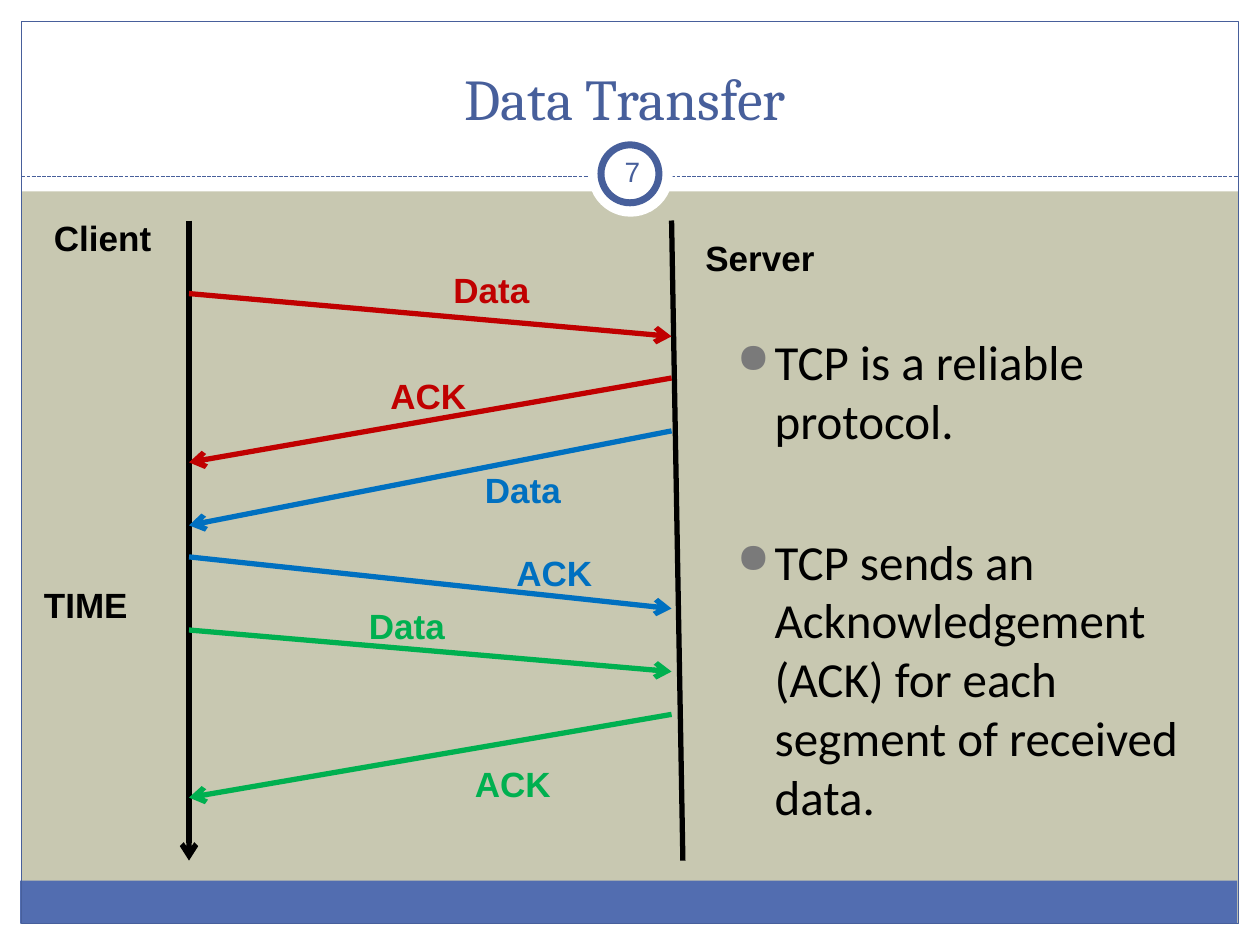
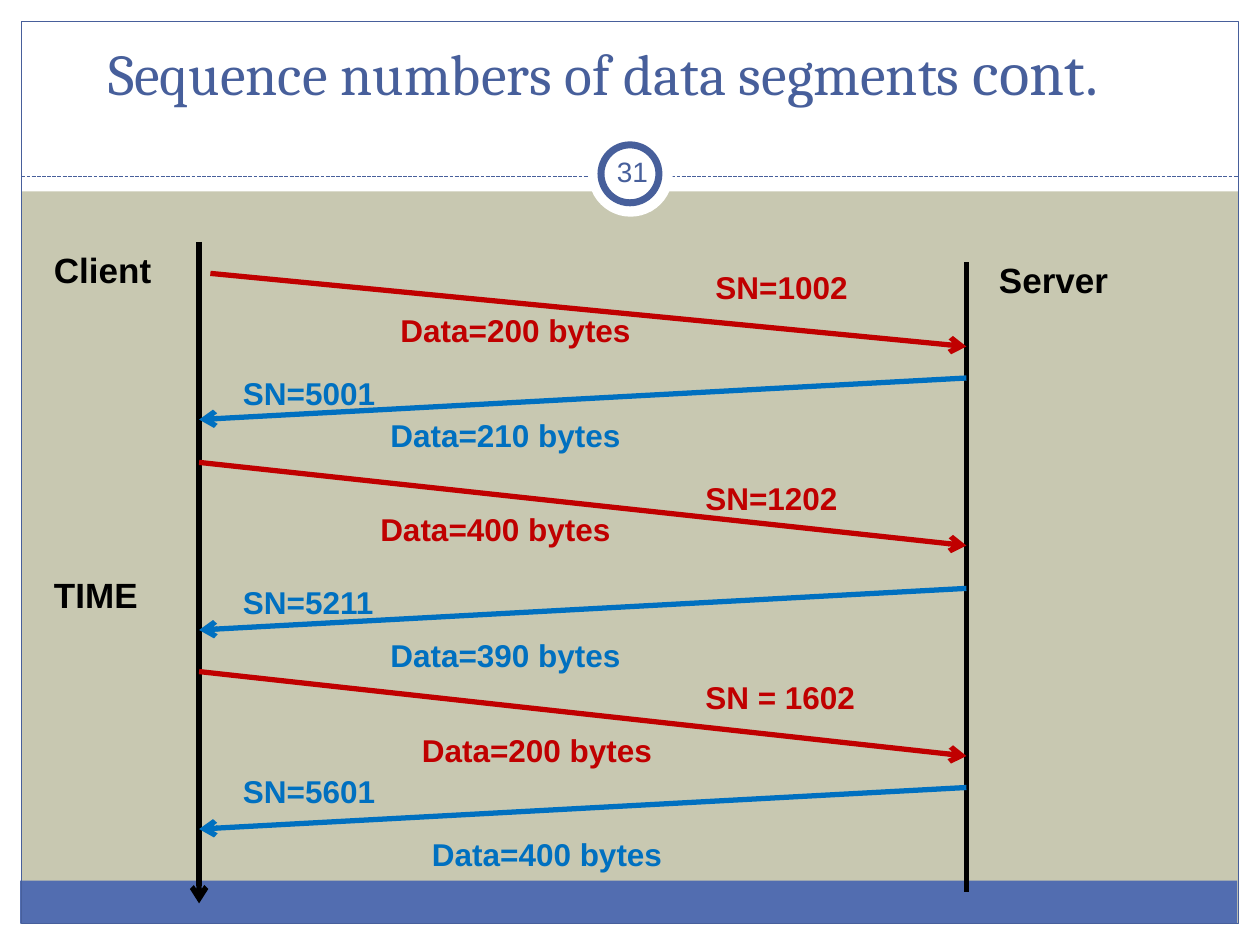
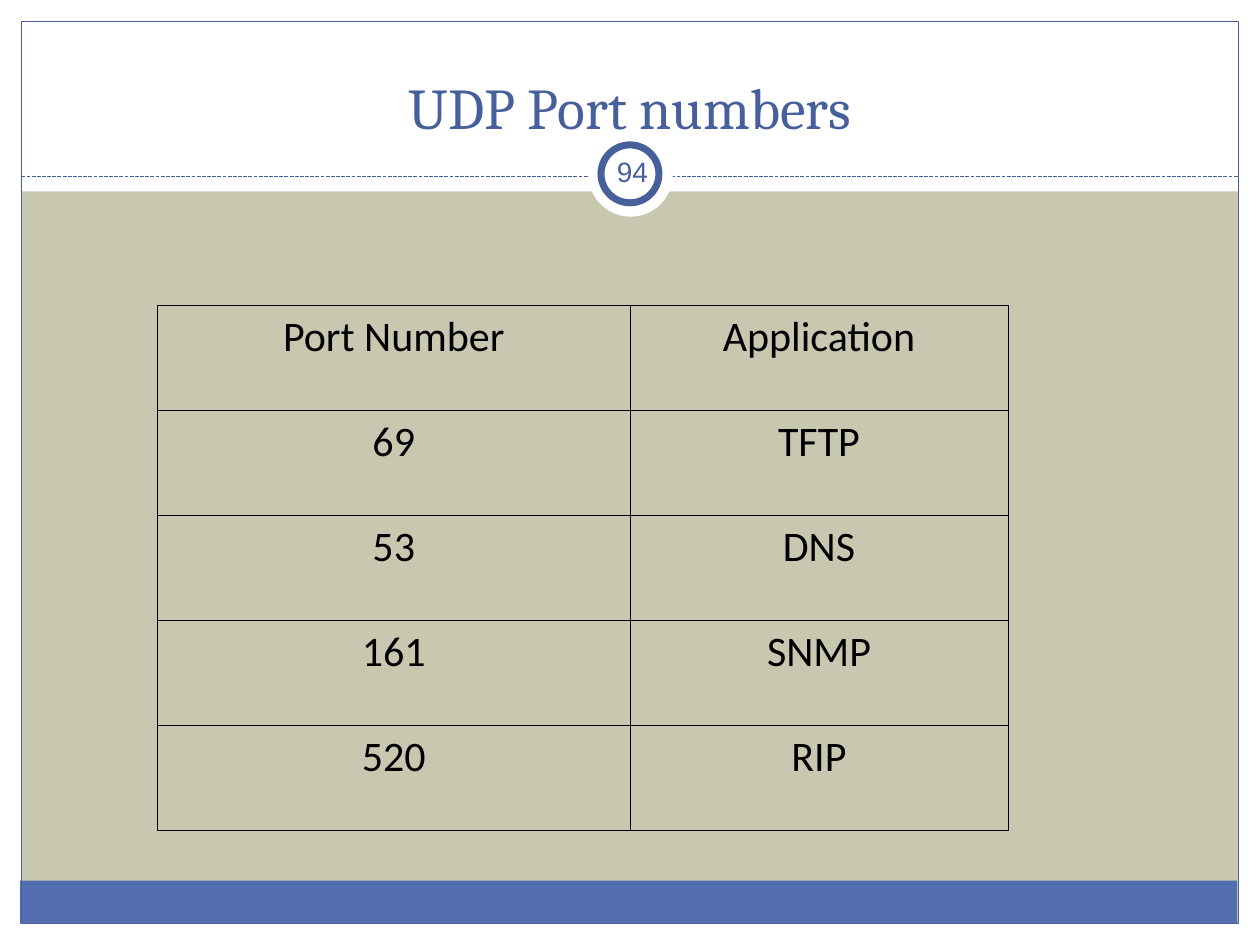
from collections import namedtuple

from pptx import Presentation
from pptx.dml.color import RGBColor
from pptx.enum.dml import MSO_LINE
from pptx.enum.shapes import MSO_CONNECTOR, MSO_SHAPE
from pptx.enum.text import MSO_ANCHOR as Anchor, MSO_AUTO_SIZE as AutoSize, PP_ALIGN as Align
from pptx.oxml.ns import qn
from pptx.util import Inches, Pt
from lxml.etree import SubElement

SAND = RGBColor(0xC8, 0xC8, 0xB1)
WHITE = RGBColor(0xFF, 0xFF, 0xFF)
BLACK = RGBColor(0, 0, 0)
BAND_BLUE = RGBColor(0x52, 0x6D, 0xB0)
TITLE_BLUE = RGBColor(0x47, 0x5F, 0x9B)
RED = RGBColor(0xC0, 0, 0)
BLUE = RGBColor(0, 0x70, 0xC0)
GREEN = RGBColor(0, 0xB0, 0x50)
BULLET_GRAY = "7A7A7A"

WIDTH, HEIGHT, MARGIN = 10, 7.5, 0.17

Box = namedtuple("Box", "left top width height")
Label = namedtuple("Label", "text x y width")
Message = namedtuple("Message", "start end color to_server labels inset", defaults=[0])


def inches(*values):
    return [Inches(value) for value in values]


def add_run(paragraph, text, size, font="Arial", color=BLACK, bold=False):
    run = paragraph.add_run()
    run.text = text
    run.font.size = Pt(size)
    run.font.name = font
    run.font.bold = bold
    run.font.color.rgb = color


def add_text(slide, box, text, size, align=Align.LEFT, anchor=Anchor.TOP,
             margin=None, grow=False, **font):
    """Add a one-paragraph text box and return its paragraph."""
    frame = slide.shapes.add_textbox(*inches(*box)).text_frame
    frame.word_wrap = True
    frame.vertical_anchor = anchor
    if grow:
        frame.auto_size = AutoSize.SHAPE_TO_FIT_TEXT
    if margin is not None:
        frame.margin_left = frame.margin_right = Inches(margin)
    paragraph = frame.paragraphs[0]
    paragraph.alignment = align
    add_run(paragraph, text, size, **font)
    return paragraph


def add_preset(slide, preset, box, fill=None, line=None, line_width=0.75):
    shape = slide.shapes.add_shape(preset, *inches(*box))
    shape.shadow.inherit = False
    if fill is None:
        shape.fill.background()
    else:
        shape.fill.solid()
        shape.fill.fore_color.rgb = fill
    if line is None:
        shape.line.fill.background()
    else:
        shape.line.color.rgb = line
        shape.line.width = Pt(line_width)


def add_line(slide, start, end, color=BLACK, width=3, arrow=False, dash=None):
    line = slide.shapes.add_connector(MSO_CONNECTOR.STRAIGHT, *inches(*start, *end))
    line.line.color.rgb = color
    line.line.width = Pt(width)
    if dash is not None:
        line.line.dash_style = dash
    properties = line._element.spPr
    if arrow:
        SubElement(properties.find(qn("a:ln")), qn("a:tailEnd"), type="arrow")
    SubElement(properties, qn("a:effectLst"))


def add_frame(slide):
    """Draw the margins, bottom band, border, dashed rule and number badge."""
    slide.background.fill.solid()
    slide.background.fill.fore_color.rgb = SAND
    inner_width, inner_height = WIDTH - 2 * MARGIN, HEIGHT - 2 * MARGIN
    for margin in (Box(0, HEIGHT - MARGIN, WIDTH, MARGIN), Box(0, 0, WIDTH, 1.52),
                   Box(0, 0, MARGIN, HEIGHT), Box(WIDTH - MARGIN, 0, MARGIN, HEIGHT)):
        add_preset(slide, MSO_SHAPE.RECTANGLE, margin, fill=WHITE)
    add_preset(slide, MSO_SHAPE.RECTANGLE, Box(0.16, 6.99, inner_width, 0.34), fill=BAND_BLUE)
    add_preset(slide, MSO_SHAPE.RECTANGLE, Box(MARGIN, MARGIN, inner_width, inner_height),
               line=TITLE_BLUE)
    add_line(slide, (MARGIN, 1.4), (WIDTH - MARGIN, 1.4), TITLE_BLUE, 0.75,
             dash=MSO_LINE.SQUARE_DOT)
    add_preset(slide, MSO_SHAPE.OVAL, Box(4.67, 1.05, 0.67, 0.67), fill=WHITE)
    add_preset(slide, MSO_SHAPE.OVAL, Box(4.77, 1.15, 0.46, 0.46), WHITE, TITLE_BLUE, 4)


def start_slide(presentation, number, title, title_box):
    """Add a framed slide; return it with its title paragraph."""
    slide = presentation.slides.add_slide(presentation.slide_layouts[6])
    add_frame(slide)
    heading = add_text(slide, title_box, title, 33, Align.CENTER, Anchor.BOTTOM,
                       font="Cambria", color=TITLE_BLUE)
    add_text(slide, Box(4.77, 1.12, 0.5, 0.48), str(number), 16, Align.CENTER,
             Anchor.MIDDLE, margin=0.05, color=TITLE_BLUE)
    return slide, heading


def add_sequence(slide, box, messages, names, label_size, server_span, server_lean=0):
    """Draw two time lines and the messages between them, placed within box."""
    def at(x, y):
        return box.left + x, box.top + y

    def add_label(label, size, color):
        add_text(slide, Box(*at(label.x, label.y), label.width, size * 0.022),
                 label.text, size, grow=True, color=color, bold=True)

    server_top, server_bottom = server_span
    add_line(slide, at(0, 0), at(0, box.height), arrow=True)
    add_line(slide, at(box.width, server_top), at(box.width + server_lean, server_bottom))
    for message in messages:
        start_x, end_x = (message.inset, box.width) if message.to_server else (box.width, 0)
        add_line(slide, at(start_x, message.start), at(end_x, message.end),
                 message.color, arrow=True)
        for label in message.labels:
            add_label(label, label_size, message.color)
    for name in names:
        add_label(name, 20, BLACK)


def add_bullets(slide, box, items, size, gap):
    frame = slide.shapes.add_textbox(*inches(*box)).text_frame
    frame.word_wrap = True
    for index, item in enumerate(items):
        paragraph = frame.add_paragraph() if index else frame.paragraphs[0]
        if index:
            paragraph.space_before = Pt(gap)
        properties = paragraph._p.get_or_add_pPr()
        properties.set("marL", str(Inches(0.3)))
        properties.set("indent", str(-Inches(0.3)))
        color = SubElement(properties, qn("a:buClr"))
        SubElement(color, qn("a:srgbClr"), val=BULLET_GRAY)
        SubElement(properties, qn("a:buSzPct"), val="85000")
        SubElement(properties, qn("a:buChar"), char="●")
        add_run(paragraph, item, size, font="Calibri")


def add_cell_borders(cell, color, width):
    properties = cell._tc.get_or_add_tcPr()
    for index, side in enumerate(("a:lnL", "a:lnR", "a:lnT", "a:lnB")):
        border = properties.makeelement(qn(side), {"w": str(Pt(width))})
        fill = SubElement(border, qn("a:solidFill"))
        SubElement(fill, qn("a:srgbClr"), val=str(color))
        properties.insert(index, border)


def add_grid(slide, box, column_widths, rows):
    table = slide.shapes.add_table(len(rows), len(column_widths), *inches(*box)).table
    table.first_row = table.horz_banding = False
    for column, width in zip(table.columns, column_widths):
        column.width = Inches(width)
    for row, values in zip(table.rows, rows):
        row.height = Inches(box.height / len(rows))
        for cell, value in zip(row.cells, values):
            cell.fill.background()
            cell.margin_left = cell.margin_right = Inches(0.08)
            paragraph = cell.text_frame.paragraphs[0]
            paragraph.alignment = Align.CENTER
            add_run(paragraph, value, 24, font="Calibri")
            add_cell_borders(cell, BLACK, 0.45)


def build_data_transfer(presentation):
    slide, _ = start_slide(presentation, 7, "Data Transfer", Box(0.67, 0.25, 8.58, 0.85))

    def message(start, end, color, to_server, text, x, y):
        return Message(start, end, color, to_server, [Label(text, x, y, 0.83)])

    messages = [
        message(0.58, 0.92, RED, True, "Data", 2, 0.33),
        message(1.25, 1.92, RED, False, "ACK", 1.5, 1.17),
        message(1.67, 2.42, BLUE, False, "Data", 2.25, 1.92),
        message(2.67, 3.08, BLUE, True, "ACK", 2.5, 2.58),
        message(3.25, 3.58, GREEN, True, "Data", 1.33, 3),
        message(3.92, 4.58, GREEN, False, "ACK", 2.17, 4.25),
    ]
    names = [Label("TIME", -1.25, 2.83, 0.92), Label("Client", -1.17, -0.08, 1),
             Label("Server", 4, 0.08, 1.17)]
    add_sequence(slide, Box(1.5, 1.75, 3.83, 5.08), messages, names, 20,
                 server_span=(0, 5.08), server_lean=0.09)
    add_bullets(slide, Box(5.75, 2.58, 3.92, 4.33), [
        "TCP is a reliable protocol.",
        "TCP sends an Acknowledgement (ACK) for each segment of received data.",
    ], size=28, gap=47)


def build_sequence_numbers(presentation):
    slide, heading = start_slide(presentation, 31, "Sequence numbers of data segments ",
                                 Box(0.33, 0.33, 8.92, 0.58))
    add_run(heading, "cont.", 36, font="Cambria", color=TITLE_BLUE)

    def message(start, end, to_server, number, number_at, data, data_at, inset=0):
        labels = [Label(number, *number_at, 2), Label(data, *data_at, 2.17)]
        return Message(start, end, RED if to_server else BLUE, to_server, labels, inset)

    messages = [
        message(0.25, 0.83, True, "SN=1002", (4, 0.16), "Data=200 bytes", (1.5, 0.5), 0.09),
        message(1.08, 1.41, False, "SN=5001", (0.25, 1), "Data=210 bytes", (1.42, 1.33)),
        message(1.75, 2.41, True, "SN=1202", (3.92, 1.83), "Data=400 bytes", (1.34, 2.08)),
        message(2.75, 3.08, False, "SN=5211", (0.25, 2.66), "Data=390 bytes", (1.42, 3.08)),
        message(3.41, 4.08, True, "SN = 1602", (3.92, 3.41), "Data=200 bytes", (1.67, 3.83)),
        message(4.33, 4.66, False, "SN=5601", (0.25, 4.16), "Data=400 bytes", (1.75, 4.66)),
    ]
    names = [Label("TIME", -1.25, 2.58, 0.92), Label("Client", -1.25, 0, 1),
             Label("Server", 6.25, 0.08, 1.17)]
    add_sequence(slide, Box(1.58, 1.92, 6.09, 5.25), messages, names, 18,
                 server_span=(0.16, 5.16))


def build_port_numbers(presentation):
    slide, _ = start_slide(presentation, 94, "UDP Port numbers", Box(0.25, 0.25, 9.5, 0.92))
    add_grid(slide, Box(1.25, 2.42, 6.75, 4.17), (3.75, 3), [
        ("Port Number", "Application"),
        ("69", "TFTP"),
        ("53", "DNS"),
        ("161", "SNMP"),
        ("520", "RIP"),
    ])


def main():
    presentation = Presentation()
    presentation.slide_width, presentation.slide_height = inches(WIDTH, HEIGHT)
    build_data_transfer(presentation)
    build_sequence_numbers(presentation)
    build_port_numbers(presentation)
    presentation.save("out.pptx")


if __name__ == "__main__":
    main()
